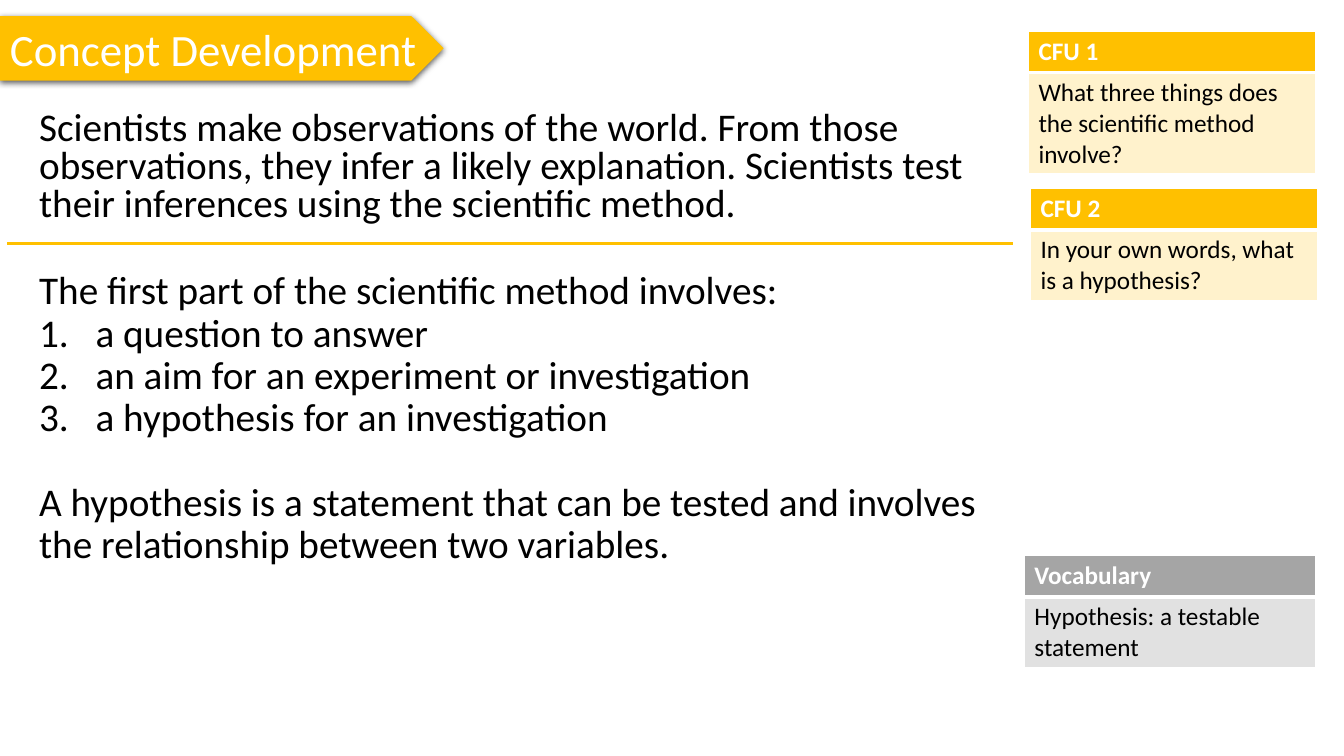
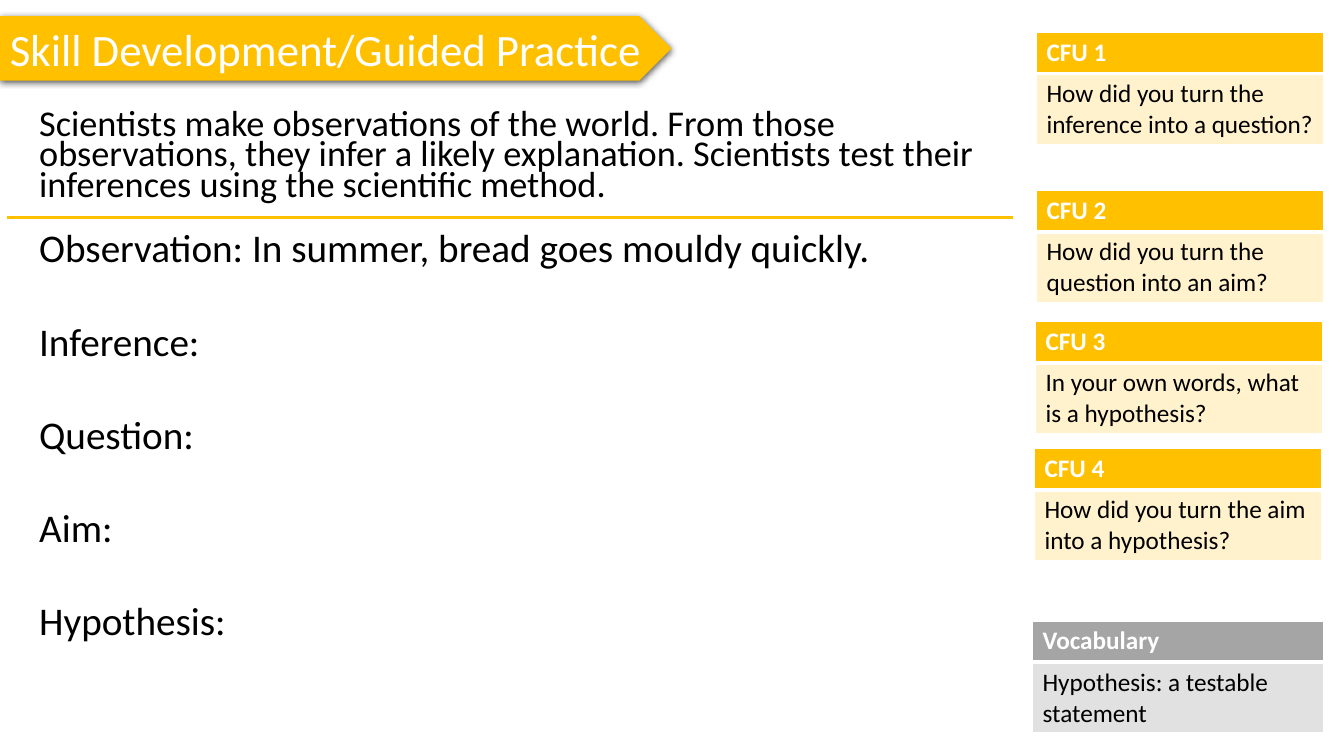
from lxml import etree
from pptx import Presentation
from pptx.dml.color import RGBColor
from pptx.enum.shapes import MSO_CONNECTOR, MSO_SHAPE
from pptx.enum.text import MSO_ANCHOR, MSO_AUTO_SIZE, PP_ALIGN
from pptx.oxml.ns import qn
from pptx.util import Pt

PX = 9144  # 100 px to the inch
FONT = "Calibri"
COLORS = {"gold": "FFC000", "pale_gold": "FFF2CC", "grey": "A5A5A5",
          "pale_grey": "E1E1E1", "white": "FFFFFF", "black": "000000"}
HEADER_H, CELL_LINE_H, CELL_PAD = 41, 30, 10
TEXT_LEFT, TEXT_W = 29, 976

# Content
CONCEPT = ("Scientists make observations of the world. From those observations, "
           "they infer a likely explanation. Scientists test their inferences "
           "using the scientific method.")
VOCABULARY = "Hypothesis: a testable statement"
OWN_WORDS = "In your own words, what is a hypothesis?"

# Body paragraphs: text, numbered, space before in points
# Cards: left, top, heading, text, lines of text
SLIDES = [
    {"title": "Concept Development", "banner_w": 440,
     "concept": {"size": 28, "spacing": 0.8}, "rule_y": 242,
     "body_top": 264, "body_h": 344, "body_spacing": 0.9,
     "body": [("The first part of the scientific method involves:", False, 0),
              ("a question to answer", True, 0),
              ("an aim for an experiment or investigation", True, 0),
              ("a hypothesis for an investigation", True, 0),
              ("A hypothesis is a statement that can be tested and involves "
               "the relationship between two variables.", False, 30)],
     "cards": [(1020, 31, "CFU 1",
                "What three things does the scientific method involve?", 3),
               (1022, 187, "CFU 2", OWN_WORDS, 2)],
     "vocabulary": (1016, 551)},
    {"title": "Skill Development/Guided Practice", "banner_w": 666,
     "concept": {"size": 25.9, "spacing": 0.7}, "rule_y": 216,
     "body_top": 217, "body_h": 521, "body_spacing": 1.0,
     "body": [("Observation: In summer, bread goes mouldy quickly.", False, 0)]
     + [(label, False, 33)
        for label in ("Inference:", "Question:", "Aim:", "Hypothesis:")],
     "cards": [(1028, 32, "CFU 1",
                "How did you turn the inference into a question?", 2),
               (1028, 189, "CFU 2",
                "How did you turn the question into an aim?", 2),
               (1027, 319, "CFU 3", OWN_WORDS, 2),
               (1026, 445, "CFU 4",
                "How did you turn the aim into a hypothesis?", 2)],
     "vocabulary": (1024, 616)},
]


def px(*values):
    return [v * PX for v in values]


def rgb(name):
    return RGBColor.from_string(COLORS[name])


def add_node(parent, tag, **attrs):
    return etree.SubElement(parent, qn(tag), {k: str(v) for k, v in attrs.items()})


def write(tf, text, size=28, color="black", bold=False, spacing=1.0,
          before=0, numbered=False):
    """Add one formatted paragraph, using the empty first one if there is one."""
    p = tf.paragraphs[-1]
    if p.runs:
        p = tf.add_paragraph()
    p.alignment = PP_ALIGN.LEFT
    p.line_spacing = spacing
    if before:
        p.space_before = Pt(before)
    if numbered:
        pPr = p._p.get_or_add_pPr()
        pPr.set("marL", str(56 * PX))
        pPr.set("indent", str(-56 * PX))
        add_node(pPr, "a:buFont", typeface="+mj-lt")
        add_node(pPr, "a:buAutoNum", type="arabicPeriod")
    r = p.add_run()
    r.text = text
    r.font.name, r.font.size, r.font.bold = FONT, Pt(size), bold
    r.font.color.rgb = rgb(color)


def add_banner(slide, title, width):
    sp = slide.shapes.add_shape(MSO_SHAPE.PENTAGON, *px(0, 16, width, 64))
    sp.fill.solid()
    sp.fill.fore_color.rgb = rgb("gold")
    sp.line.fill.background()
    sp.shadow.inherit = False
    effects = sp._element.spPr.find(qn("a:effectLst"))
    shadow = add_node(effects, "a:outerShdw", blurRad=Pt(4.5), dist=Pt(1.5),
                      dir=5400000, algn="ctr", rotWithShape=0)
    add_node(add_node(shadow, "a:srgbClr", val=COLORS["black"]),
             "a:alpha", val=63000)
    tf = sp.text_frame
    tf.word_wrap = False
    tf.auto_size = MSO_AUTO_SIZE.SHAPE_TO_FIT_TEXT
    tf.vertical_anchor = MSO_ANCHOR.MIDDLE
    write(tf, title, size=32, color="white")


def add_text_box(slide, top, height):
    tf = slide.shapes.add_textbox(*px(TEXT_LEFT, top, TEXT_W, height)).text_frame
    tf.word_wrap = True
    return tf


def add_rule(slide, y):
    line = slide.shapes.add_connector(MSO_CONNECTOR.STRAIGHT, *px(7, y, 1005, y))
    line.line.color.rgb = rgb("gold")
    line.line.width = Pt(2.25)
    add_node(line._element.spPr, "a:effectLst")


def style_cell(cell, fill, top, bottom):
    tcPr = cell._tc.get_or_add_tcPr()
    for side, width in (("L", 1), ("R", 1), ("T", top), ("B", bottom)):
        ln = add_node(tcPr, f"a:ln{side}", w=Pt(width))
        add_node(add_node(ln, "a:solidFill"), "a:srgbClr", val=COLORS["white"])
    cell.fill.solid()
    cell.fill.fore_color.rgb = rgb(fill)


def add_card(slide, left, top, heading, text, lines=2, width=285, tone="gold"):
    body_h = lines * CELL_LINE_H + CELL_PAD
    table = slide.shapes.add_table(
        2, 1, *px(left, top, width, HEADER_H + body_h)).table
    table.first_row = table.horz_banding = False
    table.rows[0].height, table.rows[1].height = px(HEADER_H, body_h)
    head, body = table.cell(0, 0), table.cell(1, 0)
    style_cell(head, tone, top=1, bottom=3)
    style_cell(body, "pale_" + tone, top=3, bottom=1)
    write(head.text_frame, heading, size=18, color="white", bold=True)
    write(body.text_frame, text, size=18)


def build_slide(prs, data):
    s = prs.slides.add_slide(prs.slide_layouts[6])
    add_banner(s, data["title"], data["banner_w"])
    # Concept above the rule, lesson body below it
    concept_h = data["rule_y"] - 110
    write(add_text_box(s, 106, concept_h), CONCEPT, **data["concept"])
    add_rule(s, data["rule_y"])
    tf = add_text_box(s, data["body_top"], data["body_h"])
    for text, numbered, before in data["body"]:
        write(tf, text, numbered=numbered, before=before,
              spacing=data["body_spacing"])
    # Side cards
    for card in data["cards"]:
        add_card(s, *card)
    add_card(s, *data["vocabulary"], "Vocabulary", VOCABULARY,
             width=289, tone="grey")


def main():
    prs = Presentation()
    prs.slide_width, prs.slide_height = px(1333, 750)
    for data in SLIDES:
        build_slide(prs, data)
    prs.save("out.pptx")


if __name__ == "__main__":
    main()
